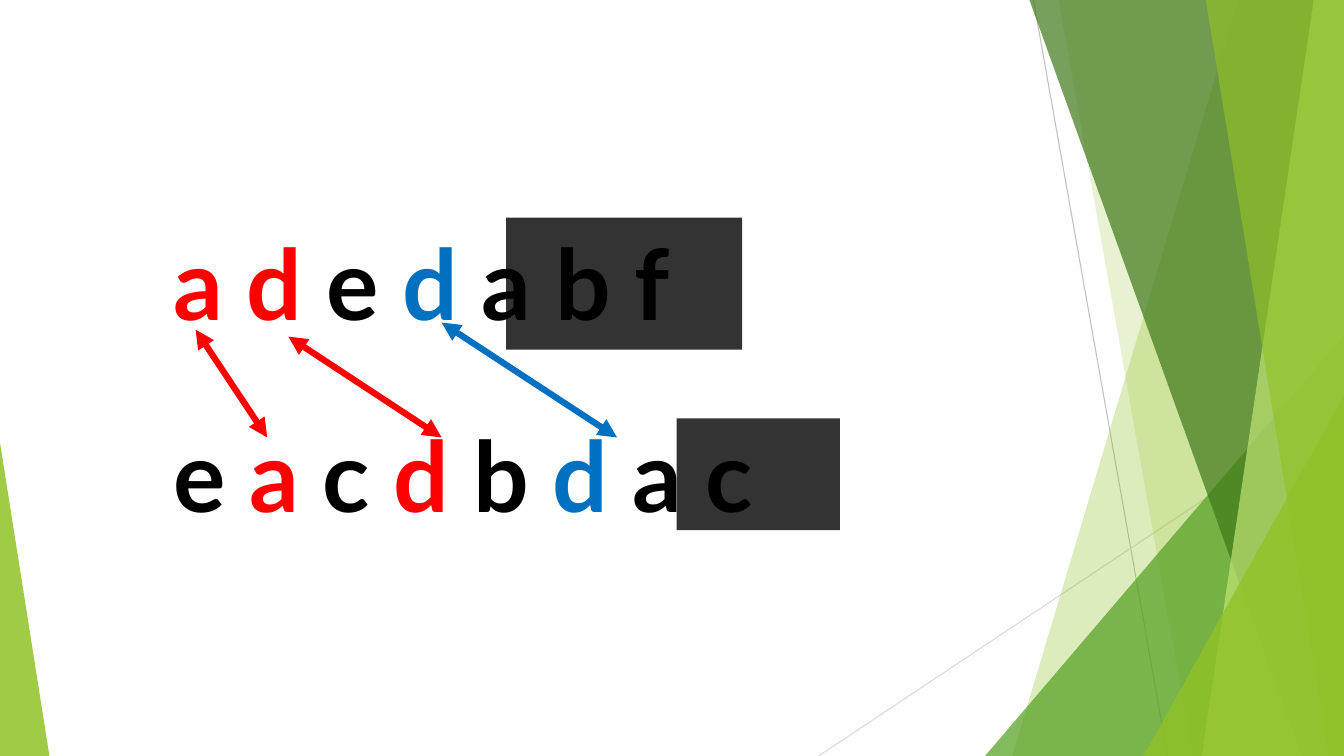
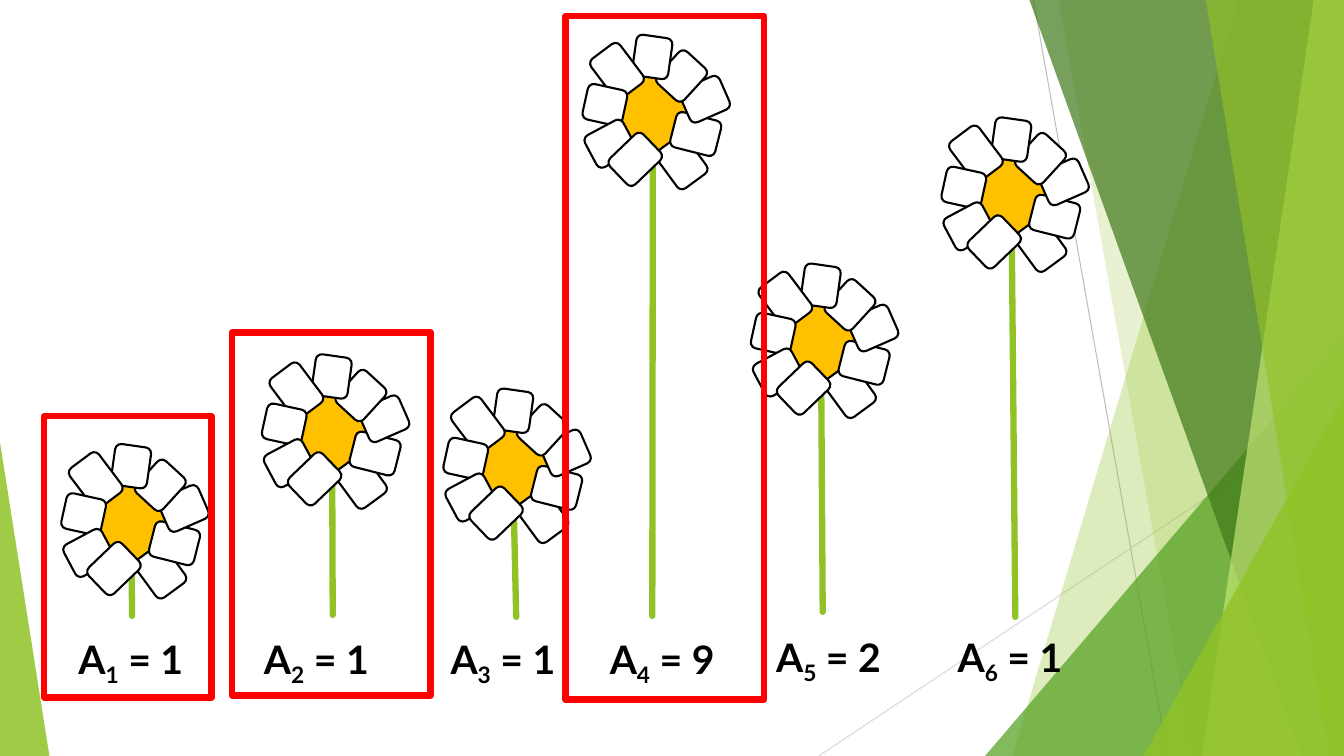
from dataclasses import dataclass
from typing import Optional

from lxml.etree import SubElement
from pptx import Presentation
from pptx.dml.color import RGBColor
from pptx.enum.shapes import MSO_CONNECTOR, MSO_SHAPE
from pptx.enum.text import MSO_AUTO_SIZE
from pptx.oxml.ns import qn
from pptx.util import Inches, Pt

SLIDE_WIDTH, SLIDE_HEIGHT = 13.33, 7.5
BLACK, WHITE, RED, BLUE = "000000", "FFFFFF", "FF0000", "0070C0"
GREEN, YELLOW = "90C226", "FFC000"
FONT_FORMAT = {"name": "Lato", "bold": True}
BOX_FORMAT = {"word_wrap": False, "auto_size": MSO_AUTO_SIZE.SHAPE_TO_FIT_TEXT}


@dataclass(frozen=True)
class Band:
    """A slanted band that reaches from its left edge to the right of the slide."""
    top_x: float
    bottom_x: float
    color: str
    opacity: int


@dataclass(frozen=True)
class Corner:
    """A right triangle standing on the bottom of the slide."""
    left: float
    top: float
    width: float
    apex: float
    color: str
    opacity: int


@dataclass(frozen=True)
class Box:
    left: float
    top: float
    width: float
    height: float


@dataclass(frozen=True)
class Line:
    start: tuple[float, float]
    end: tuple[float, float]
    color: str
    width: float = 4.5


@dataclass(frozen=True)
class Piece:
    text: str
    color: str = BLACK
    subscript: bool = False


@dataclass(frozen=True)
class Petal:
    """Place relative to the flower's disc, length and rotation."""
    x: float
    y: float
    length: float
    rotation: float


@dataclass(frozen=True)
class Flower:
    left: float
    top: float
    foot_x: float
    foot_y: float
    label_left: float
    label_top: float
    value: int


BACKGROUND_LINES = [
    Line((10.25, 0), (11.58, SLIDE_HEIGHT), "BFBFBF", 0.75),
    Line((SLIDE_WIDTH, 4.03), (8.12, SLIDE_HEIGHT), "D9D9D9", 0.75),
]
BACKGROUND_AREAS = [
    Band(12.28, 10.04, GREEN, 30),
    Band(10.5, 11.83, GREEN, 20),
    Corner(9.77, 3.33, 3.56, 1, "54A021", 72),
    Band(10.21, 12.91, "3F7819", 70),
    Band(13.03, 11.92, "C0E474", 70),
    Band(11.96, 13.18, GREEN, 65),
    Corner(11.34, 3.93, 1.99, 1, GREEN, 80),
    Corner(0, 4.39, 0.49, 0, GREEN, 85),
]

FIRST_WORD = [Piece("a d ", RED), Piece("e "), Piece("d", BLUE), Piece(" a b f")]
SECOND_WORD = [Piece("e "), Piece("a ", RED), Piece("c "), Piece("d ", RED),
               Piece("b "), Piece("d ", BLUE), Piece("a c")]
MATCHES = [
    Line((4.38, 3.2), (6.12, 4.34), BLUE),
    Line((2.86, 3.34), (4.38, 4.34), RED),
    Line((1.94, 3.27), (2.65, 4.34), RED),
]
COVERS = [Box(5.02, 2.16, 2.34, 1.31), Box(6.71, 4.15, 1.62, 1.11)]

PETAL_WIDTH = 0.36
DISC_WIDTH, DISC_HEIGHT = 0.73, 0.78
PETALS = [
    Petal(0.47, 0.66, 0.46, 143.7),
    Petal(0.61, 0.38, 0.46, 104.2),
    Petal(0.7, 0.05, 0.43, 66.3),
    Petal(0.47, -0.18, 0.43, 42.5),
    Petal(0.18, -0.36, 0.41, 8.1),
    Petal(-0.17, -0.26, 0.49, 323.1),
    Petal(-0.29, 0.12, 0.4, 282.4),
    Petal(-0.24, 0.49, 0.43, 242),
    Petal(0.01, 0.63, 0.46, 226.2),
]
FLOWERS = [
    Flower(0.94, 4.78, 1.31, 6.11, 0.68, 6.25, 1),
    Flower(2.93, 3.89, 3.3, 6.1, 2.52, 6.25, 1),
    Flower(4.73, 4.23, 5.12, 6.12, 4.37, 6.25, 1),
    Flower(6.11, 0.72, 6.47, 6.11, 5.95, 6.25, 9),
    Flower(7.78, 2.99, 8.16, 6.07, 7.6, 6.23, 2),
    Flower(9.67, 1.54, 10.07, 6.12, 9.4, 6.23, 1),
]
FRAMES = [Box(0.44, 4.13, 1.66, 2.79), Box(2.3, 3.3, 1.97, 3.6),
          Box(5.61, 0.16, 1.97, 6.78)]


def rgb(color: str) -> RGBColor:
    return RGBColor.from_string(color)


def style_shape(shape, fill: Optional[str] = None, opacity: int = 100,
                line: Optional[str] = None, line_width: float = 1.5) -> None:
    shape.shadow.inherit = False
    if fill:
        shape.fill.solid()
        shape.fill.fore_color.rgb = rgb(fill)
        if opacity < 100:
            color = shape.element.spPr.find(qn("a:solidFill"))[0]
            SubElement(color, qn("a:alpha"), val=str(opacity * 1000))
    else:
        shape.fill.background()
    if line:
        shape.line.color.rgb = rgb(line)
        shape.line.width = Pt(line_width)
    else:
        shape.line.fill.background()


def add_preset(shapes, preset: MSO_SHAPE, box: Box):
    return shapes.add_shape(preset, Inches(box.left), Inches(box.top),
                            Inches(box.width), Inches(box.height))


def add_line(shapes, line: Line, arrows: bool = False, cap: str = "flat") -> None:
    connector = shapes.add_connector(
        MSO_CONNECTOR.STRAIGHT, *(Inches(value) for value in line.start + line.end))
    connector.line.color.rgb = rgb(line.color)
    connector.line.width = Pt(line.width)
    properties = connector.element.spPr
    outline = properties.find(qn("a:ln"))
    outline.set("cap", cap)
    if arrows:
        for end in ("a:headEnd", "a:tailEnd"):
            SubElement(outline, qn(end), type="triangle")
    SubElement(properties, qn("a:effectLst"))


def add_text(slide, box: Box, pieces: list[Piece], size: float) -> None:
    text_box = slide.shapes.add_textbox(Inches(box.left), Inches(box.top),
                                        Inches(box.width), Inches(box.height))
    for name, value in BOX_FORMAT.items():
        setattr(text_box.text_frame, name, value)
    paragraph = text_box.text_frame.paragraphs[0]
    for piece in pieces:
        run = paragraph.add_run()
        run.text = piece.text
        for name, value in {**FONT_FORMAT, "size": Pt(size)}.items():
            setattr(run.font, name, value)
        run.font.color.rgb = rgb(piece.color)
        if piece.subscript:
            run._r.get_or_add_rPr().set("baseline", "-25000")


def add_band(shapes, band: Band):
    builder = shapes.build_freeform(Inches(band.top_x), 0)
    corners = [(SLIDE_WIDTH, 0), (SLIDE_WIDTH, SLIDE_HEIGHT), (band.bottom_x, SLIDE_HEIGHT)]
    builder.add_line_segments([(Inches(x), Inches(y)) for x, y in corners])
    return builder.convert_to_shape()


def add_corner(shapes, corner: Corner):
    box = Box(corner.left, corner.top, corner.width, SLIDE_HEIGHT - corner.top)
    shape = add_preset(shapes, MSO_SHAPE.ISOSCELES_TRIANGLE, box)
    shape.adjustments[0] = corner.apex
    return shape


def decorate_layout(layout, slide) -> None:
    """Draw the background on an empty slide, then move it to the layout."""
    for placeholder in list(layout.placeholders):
        layout.shapes.element.remove(placeholder.element)
    for line in BACKGROUND_LINES:
        add_line(slide.shapes, line)
    for area in BACKGROUND_AREAS:
        add = add_band if isinstance(area, Band) else add_corner
        style_shape(add(slide.shapes, area), area.color, area.opacity)
    for shape in list(slide.shapes):
        layout.shapes.element.append(shape.element)


def add_flower(slide, flower: Flower) -> None:
    shapes = slide.shapes.add_group_shape().shapes
    stem_top = (flower.left + DISC_WIDTH / 2, flower.top + DISC_HEIGHT)
    add_line(shapes, Line(stem_top, (flower.foot_x, flower.foot_y), GREEN), cap="rnd")
    disc = add_preset(shapes, MSO_SHAPE.OVAL,
                      Box(flower.left, flower.top, DISC_WIDTH, DISC_HEIGHT))
    style_shape(disc, YELLOW, line=BLACK)
    for petal in PETALS:
        box = Box(flower.left + petal.x, flower.top + petal.y, PETAL_WIDTH, petal.length)
        shape = add_preset(shapes, MSO_SHAPE.ROUNDED_RECTANGLE, box)
        shape.rotation = petal.rotation
        style_shape(shape, WHITE, line=BLACK)


def fill_matching_slide(slide) -> None:
    add_text(slide, Box(1.62, 2.16, 5.66, 1.28), FIRST_WORD, 70)
    add_text(slide, Box(1.62, 4.06, 6.6, 1.28), SECOND_WORD, 70)
    for cover in COVERS:
        style_shape(add_preset(slide.shapes, MSO_SHAPE.RECTANGLE, cover), BLACK, 80)
    for match in MATCHES:
        add_line(slide.shapes, match, arrows=True)


def fill_flower_slide(slide) -> None:
    for flower in FLOWERS:
        add_flower(slide, flower)
    for number, flower in enumerate(FLOWERS, start=1):
        pieces = [Piece("A"), Piece(str(number), subscript=True), Piece(f" = {flower.value}")]
        add_text(slide, Box(flower.label_left, flower.label_top, 1.3, 0.57), pieces, 28)
    for frame in FRAMES:
        style_shape(add_preset(slide.shapes, MSO_SHAPE.RECTANGLE, frame),
                    line=RED, line_width=4.5)


def main() -> None:
    presentation = Presentation()
    presentation.slide_width = Inches(SLIDE_WIDTH)
    presentation.slide_height = Inches(SLIDE_HEIGHT)
    layout = presentation.slide_layouts[6]
    matching_slide, flower_slide = (presentation.slides.add_slide(layout) for _ in range(2))
    decorate_layout(layout, matching_slide)
    fill_matching_slide(matching_slide)
    fill_flower_slide(flower_slide)
    presentation.save("out.pptx")


if __name__ == "__main__":
    main()
